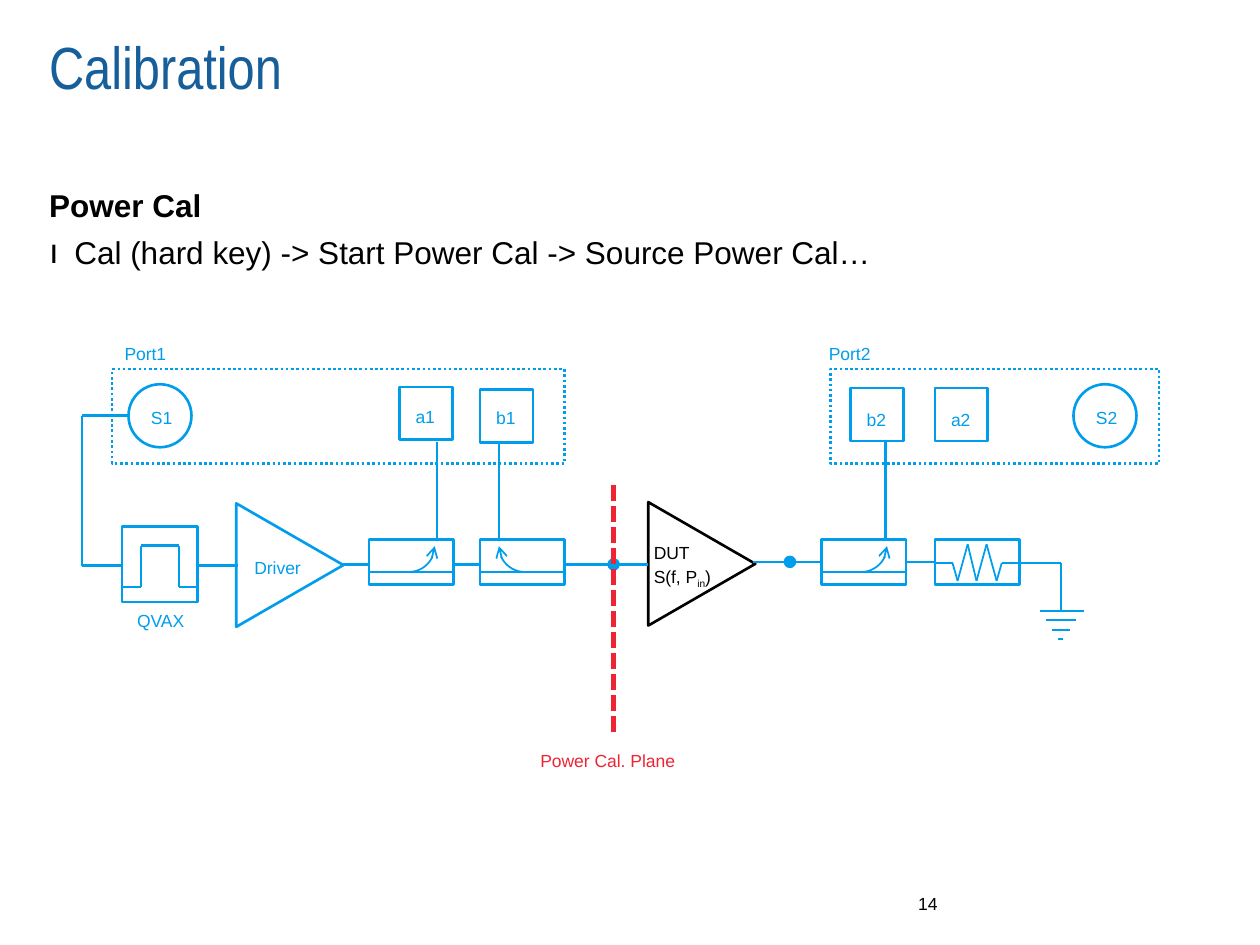
from itertools import pairwise

from lxml.etree import SubElement
from pptx import Presentation
from pptx.dml.color import RGBColor
from pptx.enum.dml import MSO_LINE
from pptx.enum.shapes import MSO_CONNECTOR, MSO_SHAPE
from pptx.enum.text import MSO_ANCHOR, PP_ALIGN
from pptx.oxml.ns import qn
from pptx.util import Inches, Pt

BLACK = RGBColor(0x00, 0x00, 0x00)
WHITE = RGBColor(0xFF, 0xFF, 0xFF)
NAVY = RGBColor(0x16, 0x5F, 0x9A)
BLUE = RGBColor(0x00, 0x9D, 0xEC)
RED = RGBColor(0xEF, 0x24, 0x33)

BOX_W, BOX_H = 0.67, 0.36
BOX_TOP = 4.28
CELL = 0.42
ARC = 0.41


class Sketch:
    def __init__(self, slide, font="Arial", color=BLUE):
        self.slide = slide
        self.font = font
        self.color = color

    def style(self, para, size, color, font=None, bold=False):
        for run in para.runs:
            run.font.name = font or self.font
            run.font.size = Pt(size)
            run.font.bold = bold
            run.font.color.rgb = color

    def text(self, x, y, w, h, text, size, color=BLACK, font=None,
             bold=False, inset=True):
        """Add a text box and return its first paragraph."""
        box = self.slide.shapes.add_textbox(
            Inches(x), Inches(y), Inches(w), Inches(h))
        frame = box.text_frame
        frame.text = text
        frame.word_wrap = True
        if not inset:
            frame.margin_left = frame.margin_right = 0
            frame.margin_top = frame.margin_bottom = 0
        para = frame.paragraphs[0]
        self.style(para, size, color, font, bold)
        return para

    def label(self, x, y, text, w=0.4, h=0.28, color=None):
        para = self.text(x, y, w, h, text, 10, color or self.color)
        para.line_spacing = 1.12
        para.space_after = Pt(6)
        return para

    def shape(self, kind, x, y, w, h, color=None, fill=None, turn=0):
        shape = self.slide.shapes.add_shape(
            kind, Inches(x), Inches(y), Inches(w), Inches(h))
        shape.shadow.inherit = False
        shape.rotation = turn
        if fill is None:
            shape.fill.background()
        else:
            shape.fill.solid()
            shape.fill.fore_color.rgb = fill
        shape.line.color.rgb = color or self.color
        shape.line.width = Pt(1.5)
        return shape

    def line(self, *points, width=1.5, color=None, dash=None):
        """Join the points with straight lines."""
        for (x1, y1), (x2, y2) in pairwise(points):
            line = self.slide.shapes.add_connector(
                MSO_CONNECTOR.STRAIGHT,
                Inches(x1), Inches(y1), Inches(x2), Inches(y2))
            line.line.color.rgb = color or self.color
            line.line.width = Pt(width)
            if dash:
                line.line.dash_style = dash
            SubElement(line._element.spPr, qn("a:effectLst"))

    def dot(self, x, y):
        dot = self.shape(MSO_SHAPE.OVAL, x, y, 0.1, 0.1, fill=self.color)
        dot.line.fill.background()

    def port(self, x, w, name, left):
        frame = self.shape(MSO_SHAPE.RECTANGLE, x, 2.93, w, 0.75)
        frame.line.dash_style = MSO_LINE.ROUND_DOT
        self.label(left, 2.65, name, 0.63)

    def source(self, x, name):
        self.shape(MSO_SHAPE.OVAL, x, 3.05, 0.5, 0.5)
        self.label(x + 0.08, 3.16, name)

    def meter(self, x, y, name, drop):
        self.shape(MSO_SHAPE.RECTANGLE, x, y, CELL, CELL)
        self.label(x + 0.03, y + drop, name)

    def amp(self, x, y, color):
        self.shape(MSO_SHAPE.ISOSCELES_TRIANGLE, x, y, 0.98, 0.85,
                   color, WHITE, 90)

    def coupler(self, x, tap, arc, flip=False):
        """Draw a coupler whose tap line runs up to a meter."""
        self.shape(MSO_SHAPE.RECTANGLE, x, BOX_TOP, BOX_W, BOX_H)
        base = BOX_TOP + 0.26
        self.line((x, base), (x + BOX_W, base), width=1)
        bend = self.shape(MSO_SHAPE.ARC, arc, base - ARC, ARC, ARC)
        bend.line.width = Pt(1)
        frame = bend._element.spPr.xfrm
        frame.set("flipV", "1")
        if flip:
            frame.set("flipH", "1")
        SubElement(bend.line._get_or_add_ln(), qn("a:tailEnd"), type="arrow")
        self.line((tap, 3.51), (tap, BOX_TOP))


def add_text(sketch):
    sketch.text(0.39, 0.24, 9.06, 1.18, "Calibration", 34, NAVY,
                "Arial Narrow", inset=False)
    item = sketch.text(0.39, 1.81, 9.06, 4.8,
                       "Cal (hard key) -> Start Power Cal -> Source Power Cal…",
                       18, inset=False)
    item.line_spacing = 1.12
    props = item._p.get_or_add_pPr()
    props.set("marL", str(Inches(0.2)))
    props.set("indent", str(-Inches(0.2)))
    SubElement(props, qn("a:buSzPct"), val="110000")
    SubElement(props, qn("a:buFont"), typeface=sketch.font)
    SubElement(props, qn("a:buChar"), char="ı")
    sketch.text(0.39, 1.5, 9.06, 0.28, "Power Cal", 18, bold=True,
                inset=False)
    sketch.slide.shapes[-1].text_frame.vertical_anchor = MSO_ANCHOR.BOTTOM
    page = sketch.text(6.89, 7.09, 0.55, 0.2, "14", 10, inset=False)
    page.alignment = PP_ALIGN.RIGHT


def add_ports(sketch):
    sketch.port(0.89, 3.59, "Port1", 0.89)
    sketch.port(6.59, 2.61, "Port2", 6.48)
    sketch.source(1.02, "S1")
    sketch.source(8.52, "S2")
    for x, y, name, drop in ((3.17, 3.07, "a1", 0.08), (3.81, 3.09, "b1", 0.07),
                             (6.75, 3.08, "b2", 0.1), (7.42, 3.08, "a2", 0.1)):
        sketch.meter(x, y, name, drop)


def add_device(sketch):
    sketch.amp(5.08, 4.05, BLACK)
    para = sketch.label(5.09, 4.23, "DUT", 0.81, 0.48, BLACK)
    para.add_line_break()
    SubElement(para._p.find(qn("a:br")), qn("a:rPr"), sz="1000")
    for part in ("S(f, P", "in", ")"):
        para.add_run().text = part
    sketch.style(para, 10, BLACK)
    para.runs[2]._r.get_or_add_rPr().set("baseline", "-25000")


def add_chain(sketch):
    sketch.amp(1.81, 4.06, BLUE)
    sketch.label(1.92, 4.35, "Driver", 0.6)

    sketch.shape(MSO_SHAPE.RECTANGLE, 0.97, 4.18, 0.6, 0.6)
    sketch.line((0.97, 4.66), (1.12, 4.66), (1.12, 4.33),
                (1.42, 4.33), (1.42, 4.66), (1.57, 4.66))
    sketch.label(0.99, 4.77, "QVAX", 0.63)

    sketch.coupler(2.93, 3.47, 3.04)
    sketch.coupler(3.81, 3.96, 3.96, flip=True)
    sketch.coupler(6.52, 7.03, 6.63)

    sketch.line((1.02, 3.3), (0.65, 3.3), (0.65, 4.49), (0.97, 4.49))
    for left, right, y in ((1.57, 1.89, 4.49), (2.72, 2.92, 4.48),
                           (3.61, 3.81, 4.48), (4.49, 5.14, 4.48),
                           (5.98, 6.52, 4.46), (7.19, 7.42, 4.46)):
        sketch.line((left, y), (right, y))
    sketch.dot(4.82, 4.43)
    sketch.dot(6.22, 4.41)


def add_load(sketch):
    sketch.shape(MSO_SHAPE.RECTANGLE, 7.42, BOX_TOP, BOX_W, BOX_H)
    sketch.line((7.41, 4.47), (7.56, 4.47), (7.6, 4.61), (7.68, 4.32),
                (7.75, 4.61), (7.83, 4.32), (7.91, 4.61), (7.95, 4.47),
                (8.09, 4.47), width=1)
    sketch.line((8.08, 4.47), (8.42, 4.47), (8.42, 4.85))
    sketch.line((8.25, 4.85), (8.6, 4.85))
    for y, half in ((4.92, 0.12), (5, 0.07), (5.07, 0.02)):
        sketch.line((8.42 - half, y), (8.42 + half, y), width=1)


def main():
    deck = Presentation()
    deck.slide_width, deck.slide_height = Inches(10), Inches(7.5)
    sketch = Sketch(deck.slides.add_slide(deck.slide_layouts[6]))
    add_text(sketch)
    add_ports(sketch)
    add_device(sketch)
    add_chain(sketch)
    add_load(sketch)
    sketch.line((4.87, 3.85), (4.87, 5.85), width=3, color=RED,
                dash=MSO_LINE.SQUARE_DOT)
    sketch.label(4.19, 5.88, "Power Cal. Plane", 1.3, 0.32, RED)
    deck.save("out.pptx")


if __name__ == "__main__":
    main()
